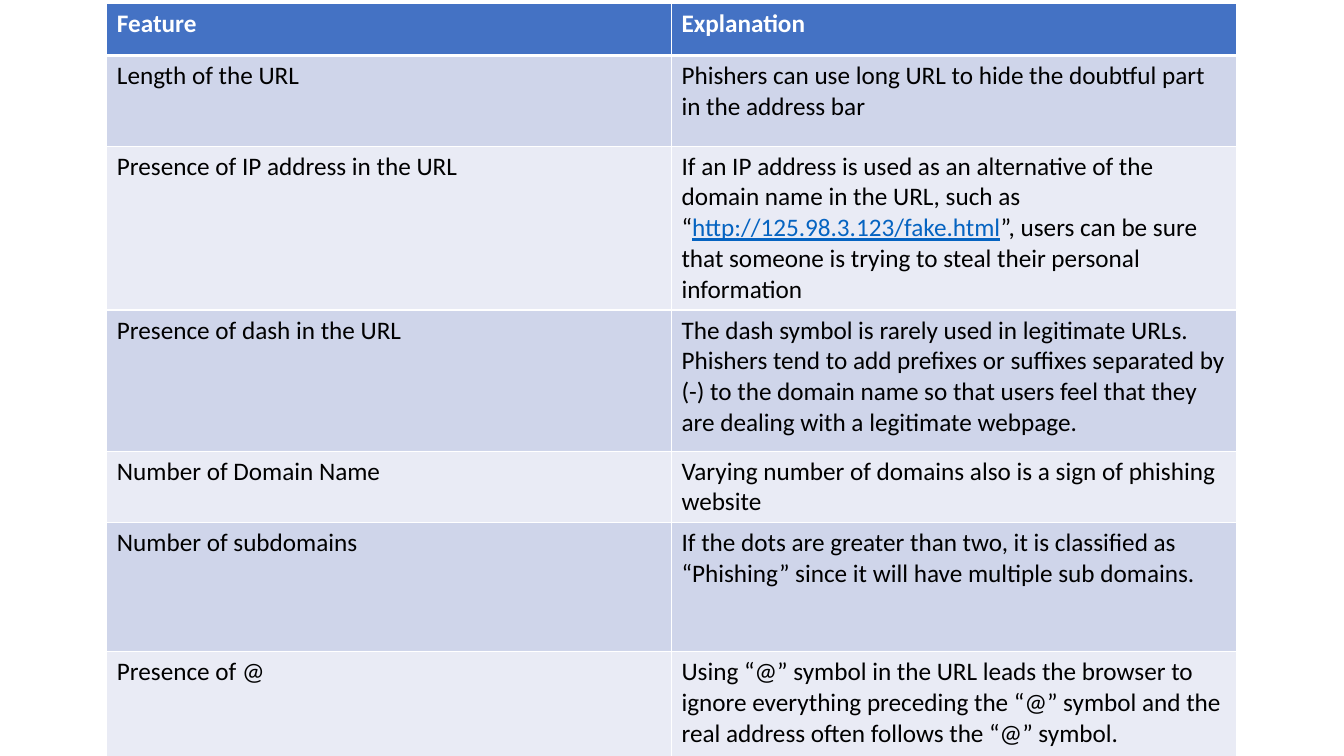
"""Build a slide with a table of URL features that reveal phishing."""
from dataclasses import dataclass

from lxml.etree import SubElement
from pptx import Presentation
from pptx.dml.color import RGBColor
from pptx.oxml.ns import qn
from pptx.util import Inches, Pt


@dataclass(frozen=True)
class Theme:
    font: str = "Calibri"
    size: int = 18
    header: str = "4472C4"
    bands: tuple = ("CFD5EA", "E9EBF5")
    white: str = "FFFFFF"
    text: str = "000000"
    address: str = "0563C1"
    thin: int = 1
    thick: int = 3


theme = Theme()

ADDRESS = "http://125.98.3.123/fake.html"
ROWS = [
    (0.52, "Feature", "Explanation"),
    (0.9, "Length of the URL",
     "Phishers can use long URL to hide the doubtful part in the address bar"),
    (1.57, "Presence of IP address in the URL",
     "If an IP address is used as an alternative of the domain name in the URL, "
     f"such as “{ADDRESS}”, users can be sure that someone is trying to steal "
     "their personal information"),
    (1.4, "Presence of dash in the URL",
     "The dash symbol is rarely used in legitimate URLs. Phishers tend to add "
     "prefixes or suffixes separated by (-) to the domain name so that users "
     "feel that they are dealing with a legitimate webpage."),
    (0.69, "Number of Domain Name",
     "Varying number of domains also is a sign of phishing website"),
    (1.28, "Number of subdomains",
     "If the dots are greater than two, it is classified as “Phishing” since it "
     "will have multiple sub domains."),
    (1.04, "Presence of @",
     "Using “@” symbol in the URL leads the browser to ignore everything "
     "preceding the “@” symbol and the real address often follows the “@” symbol."),
]


def add_text(paragraph, text, color=theme.text, bold=False, underline=False):
    run = paragraph.add_run()
    run.text = text
    run.font.name = theme.font
    run.font.size = Pt(theme.size)
    run.font.color.rgb = RGBColor.from_string(color)
    run.font.bold = bold
    run.font.underline = underline


def add_border(cell, side, width):
    properties = cell._tc.get_or_add_tcPr()
    line = SubElement(properties, qn(f"a:ln{side}"), w=str(Pt(width)))
    fill = SubElement(line, qn("a:solidFill"))
    SubElement(fill, qn("a:srgbClr"), val=theme.white)


presentation = Presentation()
presentation.slide_width = Inches(13.33)
presentation.slide_height = Inches(7.5)
slide = presentation.slides.add_slide(presentation.slide_layouts[6])

table_height = sum(height for height, *_ in ROWS)
table = slide.shapes.add_table(
    len(ROWS), 2, Inches(1.06), Inches(0.03), Inches(11.2), Inches(table_height)
).table
for column in table.columns:
    column.width = Inches(5.6)

for row_index, (height, *texts) in enumerate(ROWS):
    is_header = row_index == 0
    table.rows[row_index].height = Inches(height)
    background = theme.header if is_header else theme.bands[(row_index - 1) % 2]
    color = theme.white if is_header else theme.text
    widths = {
        "L": theme.thin,
        "R": theme.thin,
        "T": theme.thick if row_index == 1 else theme.thin,
        "B": theme.thick if is_header else theme.thin,
    }
    for column_index, text in enumerate(texts):
        cell = table.cell(row_index, column_index)
        for side, width in widths.items():
            add_border(cell, side, width)
        cell.fill.solid()
        cell.fill.fore_color.rgb = RGBColor.from_string(background)
        paragraph = cell.text_frame.paragraphs[0]
        before, address, after = text.partition(ADDRESS)
        add_text(paragraph, before, color=color, bold=is_header)
        if address:
            add_text(paragraph, address, color=theme.address, underline=True)
            add_text(paragraph, after, color=color)

presentation.save("out.pptx")
